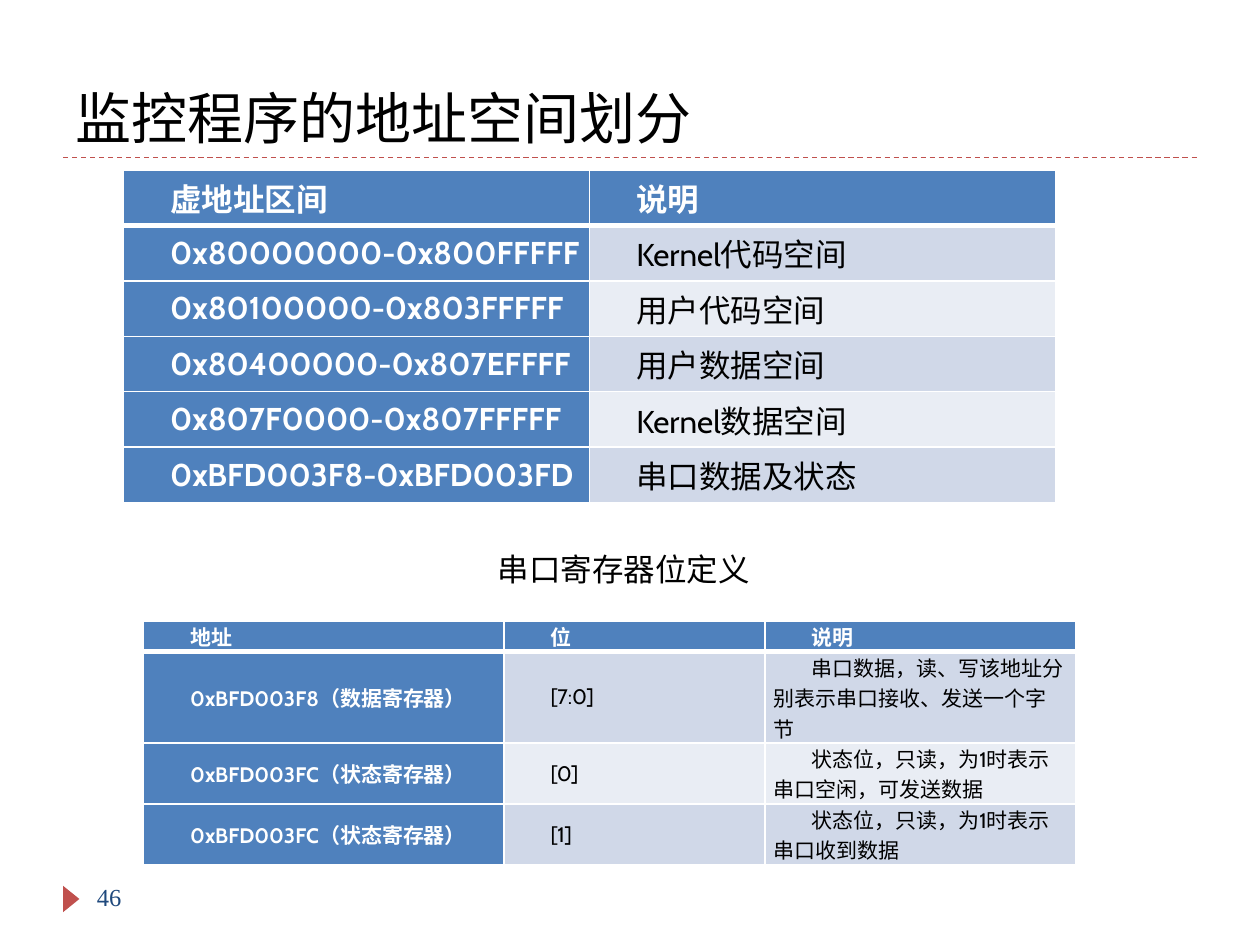
import pptx
import pptx.util
import pptx.dml.color
import pptx.enum.dml
import pptx.enum.shapes
import pptx.enum.text
import pptx.oxml
import pptx.oxml.ns
import lxml.etree

Inches, Pt = pptx.util.Inches, pptx.util.Pt
ALIGN = pptx.enum.text.PP_ALIGN
ANCHOR = pptx.enum.text.MSO_ANCHOR
COLORS = {"head": "4F81BD", "odd": "D0D8E8", "even": "E9EDF4", "white": "FFFFFF",
          "black": "000000", "red": "C0504D", "navy": "1F497D"}
A = "http://schemas.openxmlformats.org/drawingml/2006/main"


def rgb(name):
    return pptx.dml.color.RGBColor.from_string(COLORS[name])


def write(para, text, size, color="black", bold=False, face="Cabin"):
    run = para.add_run()
    run.text = text
    run.font.size = Pt(size)
    run.font.name = face
    run.font.bold = bold
    run.font.color.rgb = rgb(color)


deck = pptx.Presentation()
deck.slide_width, deck.slide_height = Inches(10), Inches(7.5)
slide = deck.slides.add_slide(deck.slide_layouts[5])
shapes = slide.shapes

# Title with its dashed rule
title = shapes.title
title.left, title.top = Inches(0.5), Inches(0.17)
title.width, title.height = Inches(9), Inches(1.08)
title.text_frame.vertical_anchor = ANCHOR.BOTTOM
para = title.text_frame.paragraphs[0]
para.alignment = ALIGN.LEFT
write(para, "监控程序的地址空间划分", 32)

rule = shapes.add_connector(pptx.enum.shapes.MSO_CONNECTOR.STRAIGHT,
                            Inches(0.5), Inches(1.25), Inches(9.5), Inches(1.25))
rule.line.color.rgb = rgb("red")
rule.line.width = Pt(0.75)
rule.line.dash_style = pptx.enum.dml.MSO_LINE.DASH
lxml.etree.SubElement(rule._element.spPr, f"{{{A}}}effectLst")

# Page marker
mark = shapes.add_shape(pptx.enum.shapes.MSO_SHAPE.ISOSCELES_TRIANGLE,
                        Inches(0.46), Inches(7.07), Inches(0.21), Inches(0.13))
mark.rotation = 90
mark.shadow.inherit = False
mark.fill.solid()
mark.fill.fore_color.rgb = rgb("red")
mark.line.fill.background()

# Tables: place, column widths, row heights, text size, alignment, rows
tables = [
    (0.98, 1.35, [3.7, 3.7], [0.44] * 6, 18, ALIGN.JUSTIFY, [
        ["虚地址区间", "说明"],
        ["0x80000000-0x800FFFFF", "Kernel代码空间"],
        ["0x80100000-0x803FFFFF", "用户代码空间"],
        ["0x80400000-0x807EFFFF", "用户数据空间"],
        ["0x807F0000-0x807FFFFF", "Kernel数据空间"],
        ["0xBFD003F8-0xBFD003FD", "串口数据及状态"]]),
    (1.14, 4.93, [2.86, 2.07, 2.47], [0.24, 0.72, 0.48, 0.48], 12, ALIGN.LEFT, [
        ["地址", "位", "说明"],
        ["0xBFD003F8（数据寄存器）", "[7:0]", "串口数据，读、写该地址分别表示串口接收、发送一个字节"],
        ["0xBFD003FC（状态寄存器）", "[0]", "状态位，只读，为1时表示串口空闲，可发送数据"],
        ["0xBFD003FC（状态寄存器）", "[1]", "状态位，只读，为1时表示串口收到数据"]]),
]
for left, top, cols, heights, size, align, rows in tables:
    grid = shapes.add_table(len(rows), len(cols), Inches(left), Inches(top),
                            Inches(sum(cols)), Inches(sum(heights))).table
    for col, width in zip(grid.columns, cols):
        col.width = Inches(width)
    for r, row in enumerate(rows):
        grid.rows[r].height = Inches(heights[r])
        for c, text in enumerate(row):
            cell = grid.cell(r, c)
            cell.margin_left = cell.margin_right = Inches(0.07)
            cell.margin_top = cell.margin_bottom = 0
            cell.vertical_anchor = ANCHOR.MIDDLE
            props = cell._tc.get_or_add_tcPr()
            for side in "LRTB":
                thick = 3 if (r, side) in ((0, "B"), (1, "T")) else 1
                props.append(pptx.oxml.parse_xml(
                    f'<a:ln{side} xmlns:a="{A}" w="{Pt(thick)}"><a:solidFill>'
                    f'<a:srgbClr val="{COLORS["white"]}"/></a:solidFill></a:ln{side}>'))
            head = r == 0 or c == 0
            cell.fill.solid()
            cell.fill.fore_color.rgb = rgb("head" if head else "odd" if r % 2 else "even")
            para = cell.text_frame.paragraphs[0]
            para.alignment = align
            para._p.get_or_add_pPr().set("indent", str(Inches(0.3)))
            write(para, text, size, "white" if head else "black", head)

# Caption of the second table and page number
notes = [
    (3.85, 4.32, 2.29, "串口寄存器位定义", 18, "black", "Cabin"),
    (0.67, 6.95, 2.17, "46", 14, "navy", "Times New Roman"),
]
for left, top, width, text, size, color, face in notes:
    box = shapes.add_textbox(Inches(left), Inches(top), Inches(width), Inches(0.4))
    write(box.text_frame.paragraphs[0], text, size, color, face=face)

deck.save("out.pptx")
